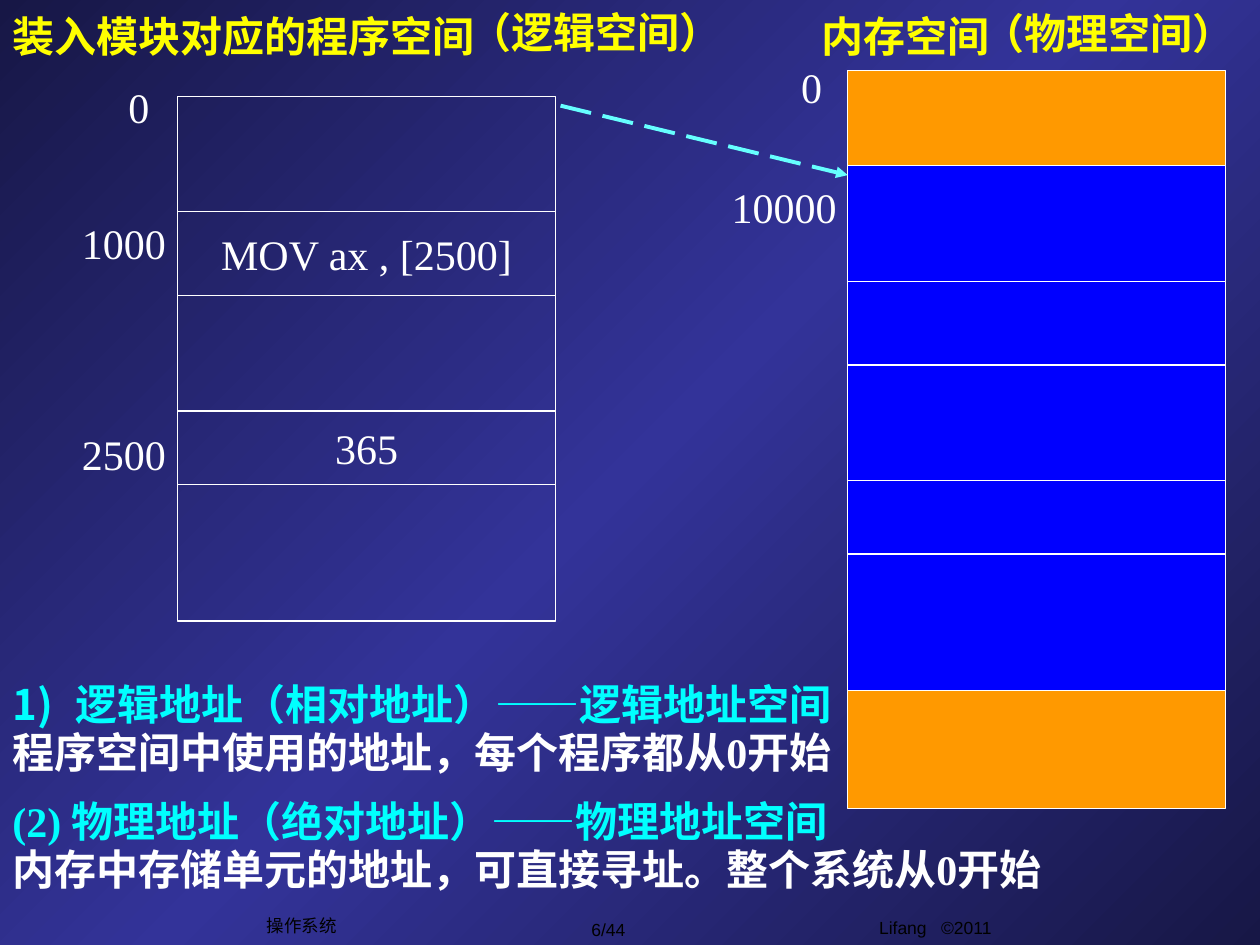
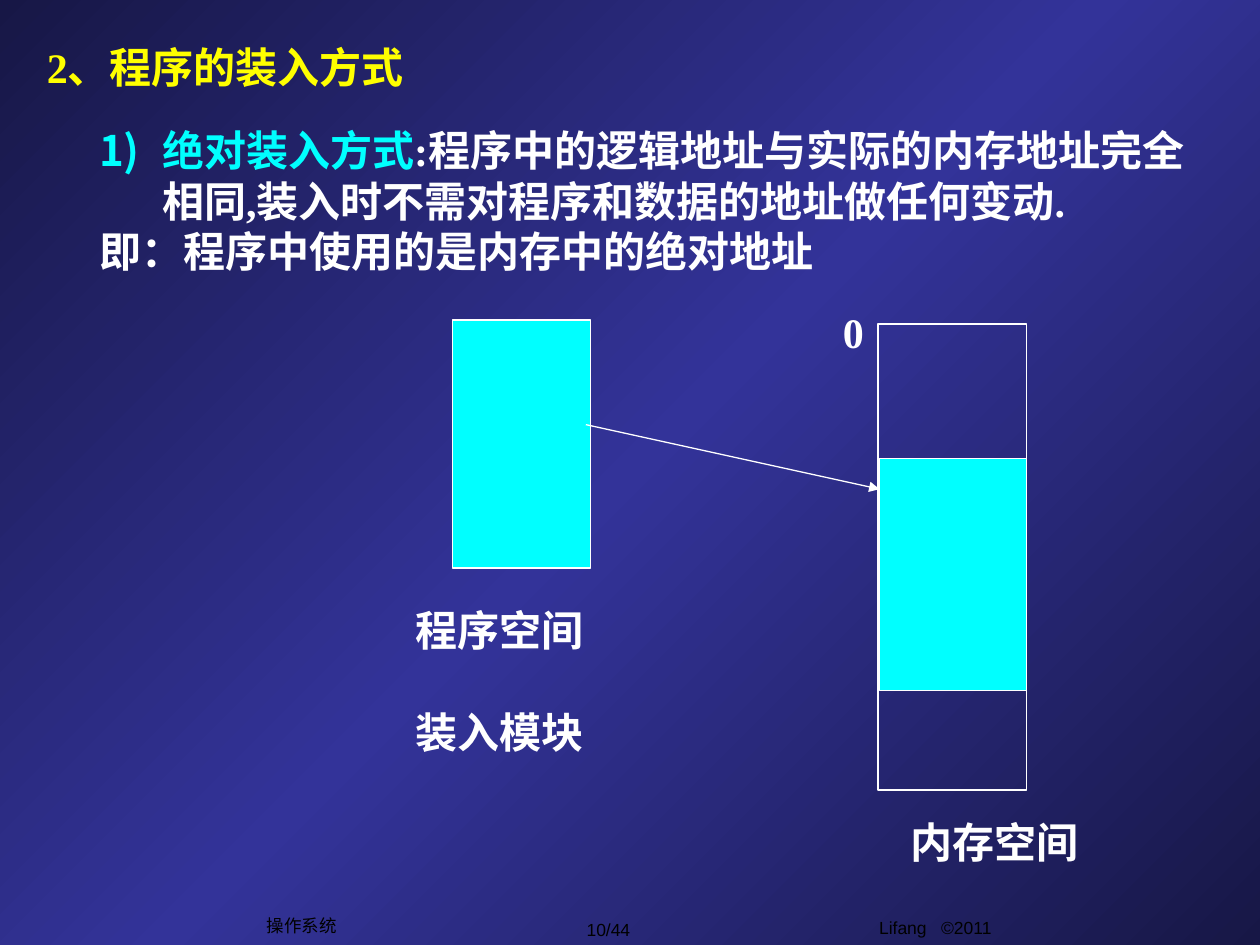
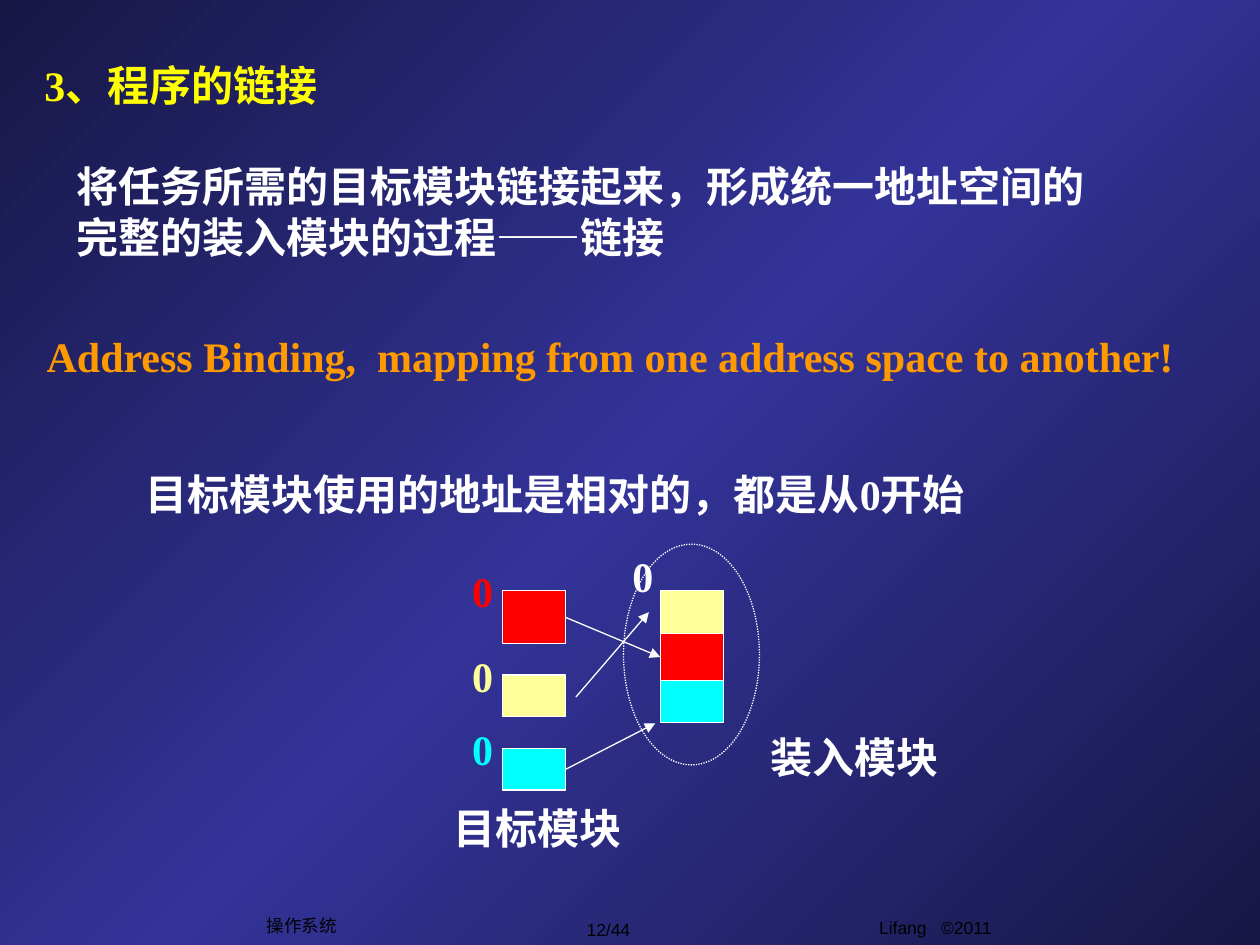
from copy import deepcopy

from pptx import Presentation
from pptx.dml.color import RGBColor
from pptx.enum.dml import MSO_LINE
from pptx.enum.shapes import MSO_CONNECTOR, MSO_SHAPE
from pptx.enum.text import MSO_ANCHOR, MSO_AUTO_SIZE, PP_ALIGN
from pptx.oxml.ns import qn
from pptx.util import Cm, Pt
from lxml.etree import SubElement

WHITE, BLACK, YELLOW, CYAN = "FFFFFF", "000000", "FFFF00", "00FFFF"
ORANGE, BLUE, RED, CREAM, AQUA = "FF9900", "0000FF", "FF0000", "FFFF99", "66FFFF"
NIGHT, INDIGO = "171746", "333399"
BODY = {"name": "Times New Roman", "size": Pt(24), "bold": True}
PLAIN = {**BODY, "bold": False}
SMALL = {"name": "Arial", "size": Pt(10), "bold": False}
MID = MSO_ANCHOR.MIDDLE
ROWS = [2.33, 1.69, 2.33, 1.48, 2.75]
WIDE = 7.62


def rgb(code):
    return RGBColor.from_string(code)


def put(item, values):
    """Set each named attribute of item."""
    for key, value in values.items():
        setattr(item, key, value)


class Deck:
    def __init__(self):
        self.prs = Presentation()
        put(self.prs, {"slide_width": Cm(25.4), "slide_height": Cm(19.05)})
        self.slide = None
        self.paint()

    def paint(self):
        """Give the master its diagonal three-stop background."""
        master = self.prs.slide_master
        fill = master.background.fill
        fill.gradient()
        fill.gradient_angle = 135
        stops = master.element.find(".//" + qn("a:gsLst"))
        stops.append(deepcopy(stops[0]))
        for stop, hue, place in zip(fill.gradient_stops, (NIGHT, INDIGO, NIGHT), (0, 0.5, 1)):
            stop.color.rgb = rgb(hue)
            stop.position = place

    def page(self, title, box, number):
        """Start a slide with its title and footers."""
        self.slide = self.prs.slides.add_slide(self.prs.slide_layouts[5])
        head = self.slide.shapes.title
        put(head, dict(zip(("left", "top", "width", "height"), map(Cm, box))))
        self.pour(head.text_frame, [title], hue=YELLOW, anchor=MID)
        foot = {"hue": BLACK, "font": SMALL, "align": PP_ALIGN.CENTER}
        self.text((14.83, 18.36, 8.05, 0.89), "Lifang   ©2011", **foot)
        self.text((10.97, 18.39, 2.59, 0.69), f"{number}/44", anchor=MID, wrap=False, **foot)
        self.text((5.13, 18.31, 1.9, 0.69), "操作系统", anchor=MID, wrap=False, **foot)

    def pour(self, frame, lines, hue=WHITE, font=BODY, align=PP_ALIGN.LEFT,
             anchor=MSO_ANCHOR.TOP, wrap=True, listed=False, space=None, gap=0):
        """Fill a frame; a line is a string or a list of (text, colour) runs."""
        put(frame, {"word_wrap": wrap, "vertical_anchor": anchor,
                    "auto_size": MSO_AUTO_SIZE.NONE})
        for index, line in enumerate(lines):
            para = frame.paragraphs[0] if index == 0 else frame.add_paragraph()
            if listed:
                self.hang(para, numbered=index == 0)
            put(para, {"alignment": align, "line_spacing": space})
            if index and gap:
                para.space_before = Pt(gap)
            for words, tint in [(line, hue)] if isinstance(line, str) else line:
                run = para.add_run()
                run.text = words
                put(run.font, font)
                run.font.color.rgb = rgb(tint)

    def hang(self, para, numbered):
        """Indent all but the first line, with a number if asked."""
        props = para._p.get_or_add_pPr()
        props.set("marL", str(Cm(1.27)))
        props.set("indent", str(-Cm(1.27)))
        if numbered:
            tint = SubElement(props, qn("a:buClr"))
            SubElement(tint, qn("a:srgbClr"), val=CYAN)
            SubElement(props, qn("a:buAutoNum"), type="arabicParenR")

    def text(self, box, *lines, **style):
        frame = self.slide.shapes.add_textbox(*map(Cm, box)).text_frame
        self.pour(frame, lines, **style)

    def label(self, left, top, words, width=0.91, **style):
        """Place a one-line address beside a cell."""
        self.text((left, top, width, 1.27), words, wrap=False, **style)

    def shape(self, box, fill=None, words="", kind=MSO_SHAPE.RECTANGLE, dash=None):
        item = self.slide.shapes.add_shape(kind, *map(Cm, box))
        item.shadow.inherit = False
        if fill:
            item.fill.solid()
            item.fill.fore_color.rgb = rgb(fill)
        else:
            item.fill.background()
        self.stroke(item.line, WHITE, 0.75, dash)
        if words:
            self.pour(item.text_frame, [words], font=PLAIN, align=PP_ALIGN.CENTER,
                      anchor=MID, wrap=False)
        return item

    def stack(self, left, top, width, rows, fills, words=None):
        """Pile cells downwards and return them."""
        cells = []
        for index, (high, fill) in enumerate(zip(rows, fills)):
            cells.append(self.shape((left, top, width, high), fill, (words or {}).get(index, "")))
            top += high
        return cells

    def stroke(self, line, hue, width, dash):
        line.color.rgb = rgb(hue)
        put(line, {"width": Pt(width), "dash_style": dash})

    def arrow(self, start, end, hue=WHITE, width=0.75, dash=None):
        link = self.slide.shapes.add_connector(MSO_CONNECTOR.STRAIGHT, *map(Cm, start + end))
        self.stroke(link.line, hue, width, dash)
        SubElement(link.line._get_or_add_ln(), qn("a:tailEnd"), type="triangle")
        SubElement(link._element.spPr, qn("a:effectLst"))
        return link


def spaces(deck):
    deck.page("装入模块对应的程序空间", (0, 0, 15.49, 1.45), 6)
    deck.stack(3.58, 1.94, WIDE, ROWS, [None] * 5, {1: "MOV ax , [2500]", 3: "365"})
    deck.shape((17.09, 1.42, WIDE, 14.88), ORANGE)
    deck.stack(17.09, 3.34, WIDE, ROWS, [BLUE] * 5)
    for left, top, words, width in [
        (2.34, 1.52, "0", 0.91), (1.4, 4.27, "1000", 2.18), (1.4, 8.51, "2500", 2.18),
        (15.9, 1.12, "0", 0.91), (14.5, 3.53, "10000", 2.62),
    ]:
        deck.label(left, top, words, width, font=PLAIN)
    deck.text((16.31, 0, 9.09, 1.45), "内存空间", hue=YELLOW, anchor=MID)
    deck.label(9.22, 0, "（逻辑空间）", 5.59, hue=YELLOW)
    deck.label(19.56, 0.03, "（物理空间）", 5.59, hue=YELLOW)
    deck.arrow((11.3, 2.13), (17.09, 3.53), AQUA, 2.25, MSO_LINE.LONG_DASH)
    deck.text((0, 13.72, 17.3, 2.01), [("逻辑地址（相对地址）——逻辑地址空间", CYAN)],
              "程序空间中使用的地址，每个程序都从0开始", anchor=MID, listed=True, space=0.95)
    deck.text((0, 15.98, 23.29, 2.18), [("(2) 物理地址（绝对地址）——物理地址空间", CYAN)],
              "内存中存储单元的地址，可直接寻址。整个系统从0开始", space=0.95)


def loading(deck):
    deck.page("2、程序的装入方式", (0.69, 0.71, 10.59, 1.27), 10)
    deck.shape((9.12, 6.45, 2.79, 5), CYAN)
    deck.shape((17.73, 9.25, 2.97, 4.67), CYAN)
    deck.shape((17.7, 6.53, 3, 9.4))
    deck.arrow((11.81, 8.56), (17.73, 9.86))
    deck.label(16.74, 6.05, "0")
    deck.text((1.75, 2.39, 22.94, 3.3),
              [("绝对装入方式", CYAN),
               (":程序中的逻辑地址与实际的内存地址完全相同,装入时不需对程序和数据的地址做任何变动.",
                WHITE)],
              "即：程序中使用的是内存中的绝对地址", listed=True)
    deck.text((18.11, 16.33, 4.8, 1.27), "内存空间")
    deck.text((8.13, 12.07, 4.19, 3.3), "程序空间", "装入模块", gap=29)


def linking(deck):
    deck.page("3、程序的链接", (0.64, 1.07, 19.46, 1.27), 12)
    deck.text((1.3, 3.12, 21.59, 2.29),
              "将任务所需的目标模块链接起来，形成统一地址空间的完整的装入模块的过程——链接")
    deck.text((0.69, 6.53, 23.5, 1.27),
              "Address Binding,  mapping from one address space to another!", hue=ORANGE)
    deck.text((2.69, 9.32, 18.03, 1.27), "目标模块使用的地址是相对的，都是从0开始")
    left, width = 10.13, 1.27
    parts = []
    for top, high, hue in [(11.91, 1.07, RED), (13.61, 0.84, CREAM), (15.09, 0.84, CYAN)]:
        parts.append(deck.shape((left, top, width, high), hue))
        deck.label(left - 0.86, top - 0.63, "0", hue=hue)
    cells = deck.stack(13.31, 11.91, width, [0.86, 0.95, 0.84], [CREAM, RED, CYAN])
    link = deck.arrow((11.4, 12.45), (13.31, 13.24))
    link.begin_connect(parts[0], 3)
    link.end_connect(cells[1], 1)
    deck.arrow((11.61, 14.05), (13.08, 12.34))
    deck.arrow((11.4, 15.51), (13.21, 14.58)).begin_connect(parts[2], 3)
    deck.label(12.5, 10.97, "0")
    deck.shape((12.57, 10.97, 2.74, 4.45), kind=MSO_SHAPE.OVAL, dash=MSO_LINE.ROUND_DOT)
    deck.text((15.29, 14.63, 4.22, 1.27), "装入模块")
    deck.text((8.89, 16.05, 8.92, 1.27), "目标模块")


def main():
    deck = Deck()
    for build in (spaces, loading, linking):
        build(deck)
    deck.prs.save("out.pptx")


if __name__ == "__main__":
    main()
